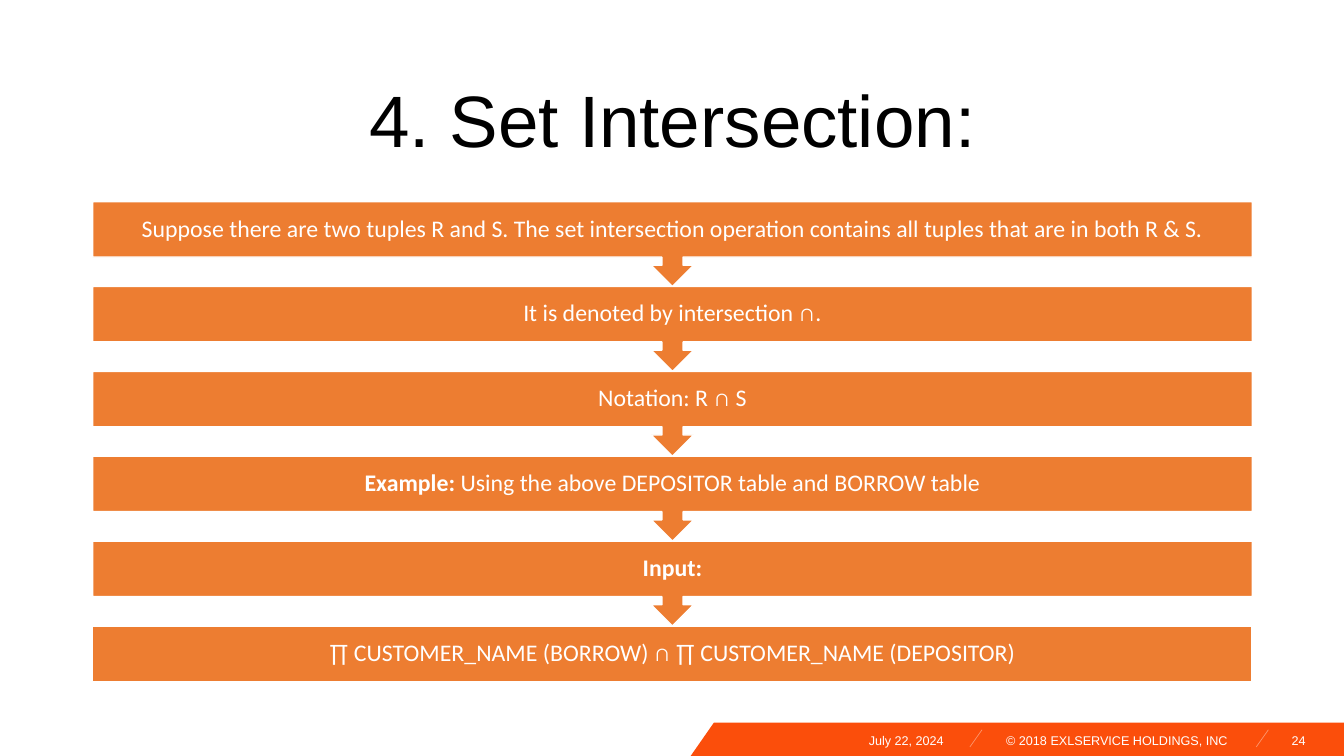
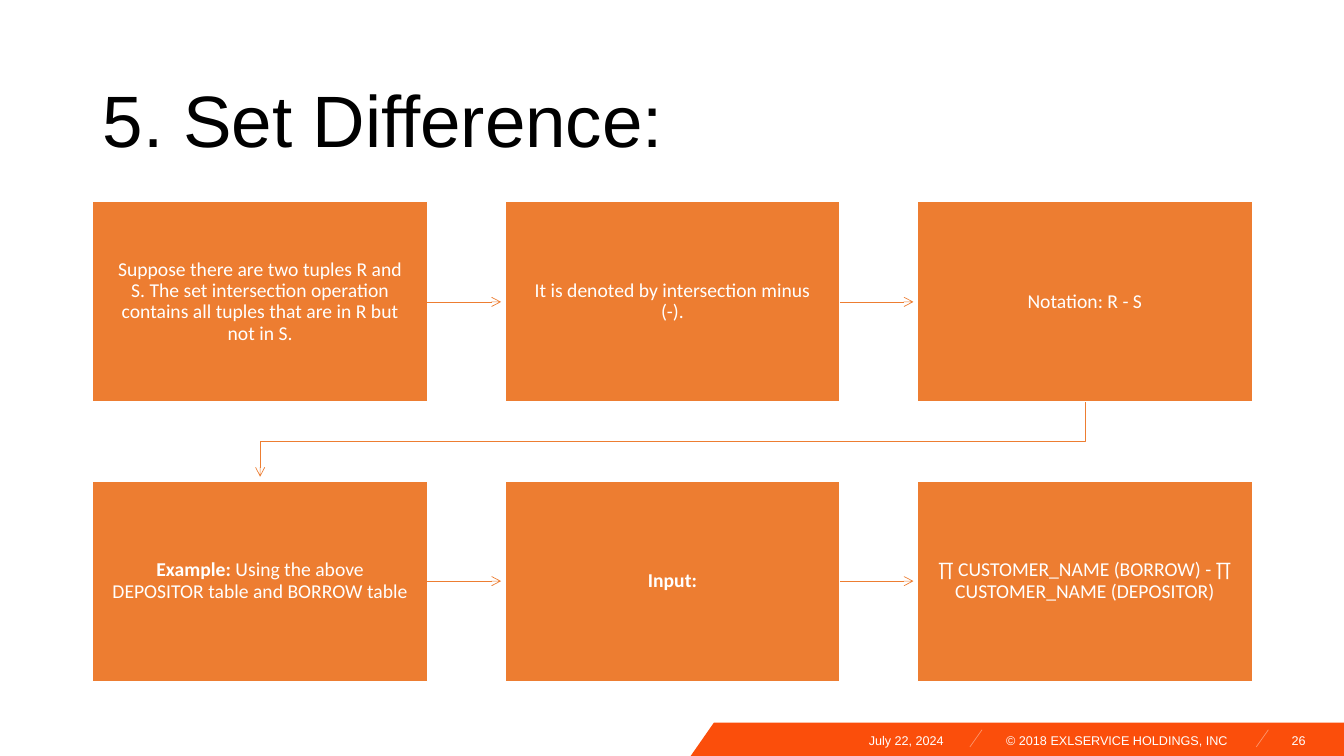
from pptx import Presentation
from pptx import util as u
from pptx.dml.color import RGBColor
from pptx.enum import shapes, text
from pptx.oxml import parse_xml
from pptx.oxml.ns import nsdecls

WIDTH, HEIGHT = 13.33, 7.5
COLORS = {"band": "FB4E0B", "slash": "FC946B", "accent": "ED7D31",
          "white": "FFFFFF", "black": "000000"}
ALIGN = text.PP_ALIGN
TITLE_BOX = (0.92, 0.61, 11.5, 1.24)
CONTENT_BOX = (0.92, 2, 11.5, 4.76)
FOOTER_FONT = {"name": "Arial", "size": u.Pt(9)}
TITLE_FONT = {"name": "Arial", "size": u.Pt(52)}
BAR_FONT = {"name": "Calibri", "size": u.Pt(17)}
TILE_FONT = {"name": "Calibri", "size": u.Pt(14)}

# Each step is a list of (wording, bold) spans
EXAMPLE = [("Example:", True),
           (" Using the above DEPOSITOR table and BORROW table", False)]
INPUT = [("Input:", True)]
INTERSECTION = [
    [("Suppose there are two tuples R and S. The set intersection operation "
      "contains all tuples that are in both R & S.", False)],
    [("It is denoted by intersection ∩.", False)],
    [("Notation: R ∩ S", False)],
    EXAMPLE,
    INPUT,
    [("∏ CUSTOMER_NAME (BORROW) ∩ ∏ CUSTOMER_NAME (DEPOSITOR)", False)],
]
DIFFERENCE = [
    [("Suppose there are two tuples R and S. The set intersection operation "
      "contains all tuples that are in R but not in S.", False)],
    [("It is denoted by intersection minus (-).", False)],
    [("Notation: R - S", False)],
    EXAMPLE,
    INPUT,
    [("∏ CUSTOMER_NAME (BORROW) - ∏ CUSTOMER_NAME (DEPOSITOR)", False)],
]


def inches(*lengths):
    return [u.Inches(length) for length in lengths]


def rgb(name):
    return RGBColor.from_string(COLORS[name])


def set_all(target, values):
    for key, value in values.items():
        setattr(target, key, value)


def write(shape, spans, font, color="white", align=ALIGN.CENTER,
          spacing=0.9, margins=(0.1, 0.05)):
    frame = shape.text_frame
    side, edge = inches(*margins)
    set_all(frame, {"word_wrap": True, "vertical_anchor": text.MSO_ANCHOR.MIDDLE,
                    "margin_left": side, "margin_right": side,
                    "margin_top": edge, "margin_bottom": edge})
    para = frame.paragraphs[0]
    set_all(para, {"alignment": align, "line_spacing": spacing})
    for wording, bold in spans:
        span = para.add_run()
        span.text = wording
        set_all(span.font, {**font, "bold": bold})
        span.font.color.rgb = rgb(color)


def add_text(page, box, wording, font, **style):
    write(page.shapes.add_textbox(*inches(*box)), [(wording, False)], font, **style)


def add_block(page, kind, box):
    block = page.shapes.add_shape(kind, *inches(*box))
    block.shadow.inherit = False
    block.fill.solid()
    block.fill.fore_color.rgb = rgb("accent")
    block.line.color.rgb = rgb("white")
    block.line.width = u.Pt(1)
    return block


def outline(page, points, closed):
    start, *rest = [inches(*point) for point in points]
    builder = page.shapes.build_freeform(*start)
    builder.add_line_segments(rest, close=closed)
    shape = builder.convert_to_shape()
    shape.shadow.inherit = False
    return shape


def style_line(line, color, arrow=False):
    line.color.rgb = rgb(color)
    line.width = u.Pt(0.5)
    if arrow:
        line._get_or_add_ln().append(
            parse_xml(f'<a:tailEnd type="arrow" {nsdecls("a")}/>'))


def add_line(page, start, end, color, arrow=False):
    line = page.shapes.add_connector(
        shapes.MSO_CONNECTOR.STRAIGHT, *inches(*start, *end))
    style_line(line.line, color, arrow)
    line._element.spPr.append(parse_xml(f'<a:effectLst {nsdecls("a")}/>'))


def add_route(page, points):
    route = outline(page, points, closed=False)
    route.fill.background()
    style_line(route.line, "accent", arrow=True)


def add_footer(page, number):
    top = 7.17
    band = outline(page, [(7.08, top), (WIDTH, top), (WIDTH, HEIGHT),
                          (6.85, HEIGHT)], closed=True)
    band.fill.solid()
    band.fill.fore_color.rgb = rgb("band")
    band.line.fill.background()
    for left in (9.62, 12.46):
        add_line(page, (left + 0.12, top + 0.07), (left, top + 0.24), "slash")
    for left, width, wording, align in (
            (7.09, 2.27, "July 22, 2024", ALIGN.RIGHT),
            (9.98, 2.27, "© 2018 EXLSERVICE HOLDINGS, INC", ALIGN.LEFT),
            (12.58, 0.37, number, ALIGN.RIGHT)):
        add_text(page, (left, top + 0.1, width, 0.15), wording, FOOTER_FONT,
                 align=align, spacing=1.0, margins=(0, 0))


def add_chain(page, box, steps):
    """Full-width bars, each pointing down to the next."""
    left, top, width, height = box
    bar = 0.55
    pitch = (height - bar) / (len(steps) - 1)
    kinds = shapes.MSO_SHAPE
    # Last bar first, so each arrow lies over the bar below it
    for row, spans in reversed(list(enumerate(steps))):
        last = row == len(steps) - 1
        block = add_block(page,
                          kinds.RECTANGLE if last else kinds.DOWN_ARROW_CALLOUT,
                          (left, top + row * pitch, width, bar if last else pitch))
        if not last:
            block.adjustments[3] = bar / pitch
        write(block, spans, BAR_FONT, margins=(0.13, 0.13))


def add_tiles(page, box, steps, columns=3, rows=2):
    """Grid of tiles read row by row, joined by arrows."""
    left, top, width, height = box
    tile_width, tile_height = 3.32, 1.99
    pitch_x = (width - tile_width) / (columns - 1)
    pitch_y = (height - tile_height) / (rows - 1)
    clearance = 0.04
    for index, spans in enumerate(steps):
        row, column = divmod(index, columns)
        x, y = left + column * pitch_x, top + row * pitch_y
        tile = add_block(page, shapes.MSO_SHAPE.RECTANGLE,
                         (x, y, tile_width, tile_height))
        write(tile, spans, TILE_FONT, margins=(0.16, 0.17))
        if column < columns - 1:
            middle = y + tile_height / 2
            add_line(page, (x + tile_width, middle),
                     (x + pitch_x - clearance, middle), "accent", arrow=True)
        elif row < rows - 1:
            start, end = x + tile_width / 2, left + tile_width / 2
            bottom, below = y + tile_height, y + pitch_y
            bend = (bottom + below) / 2
            add_route(page, [(start, bottom), (start, bend), (end, bend),
                             (end, below - clearance)])


def add_page(deck, title, align, number, add_steps, steps):
    page = deck.slides.add_slide(deck.slide_layouts[6])
    add_footer(page, number)
    add_text(page, TITLE_BOX, title, TITLE_FONT, color="black", align=align)
    add_steps(page, CONTENT_BOX, steps)


def main():
    deck = Presentation()
    deck.slide_width, deck.slide_height = inches(WIDTH, HEIGHT)
    add_page(deck, "4. Set Intersection:", ALIGN.CENTER, "24",
             add_chain, INTERSECTION)
    add_page(deck, "5. Set Difference:", ALIGN.LEFT, "26",
             add_tiles, DIFFERENCE)
    deck.save("out.pptx")


if __name__ == "__main__":
    main()
